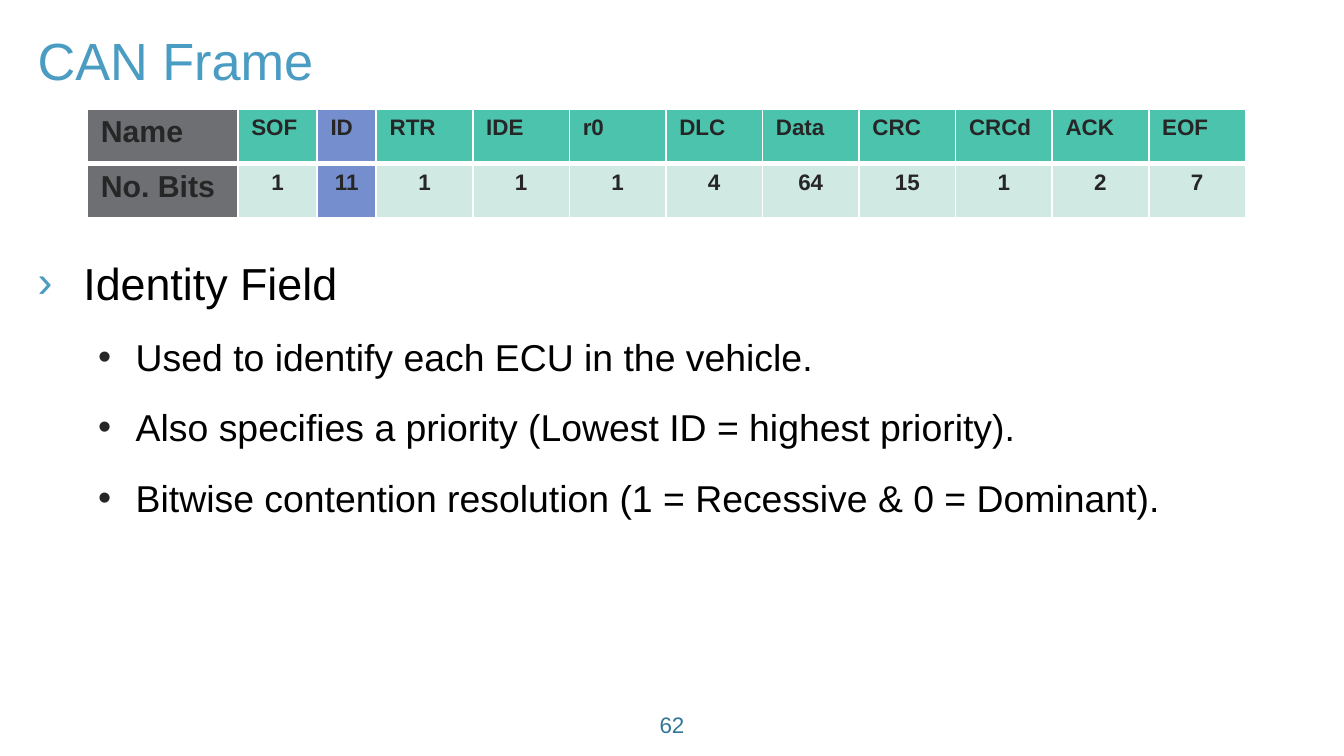
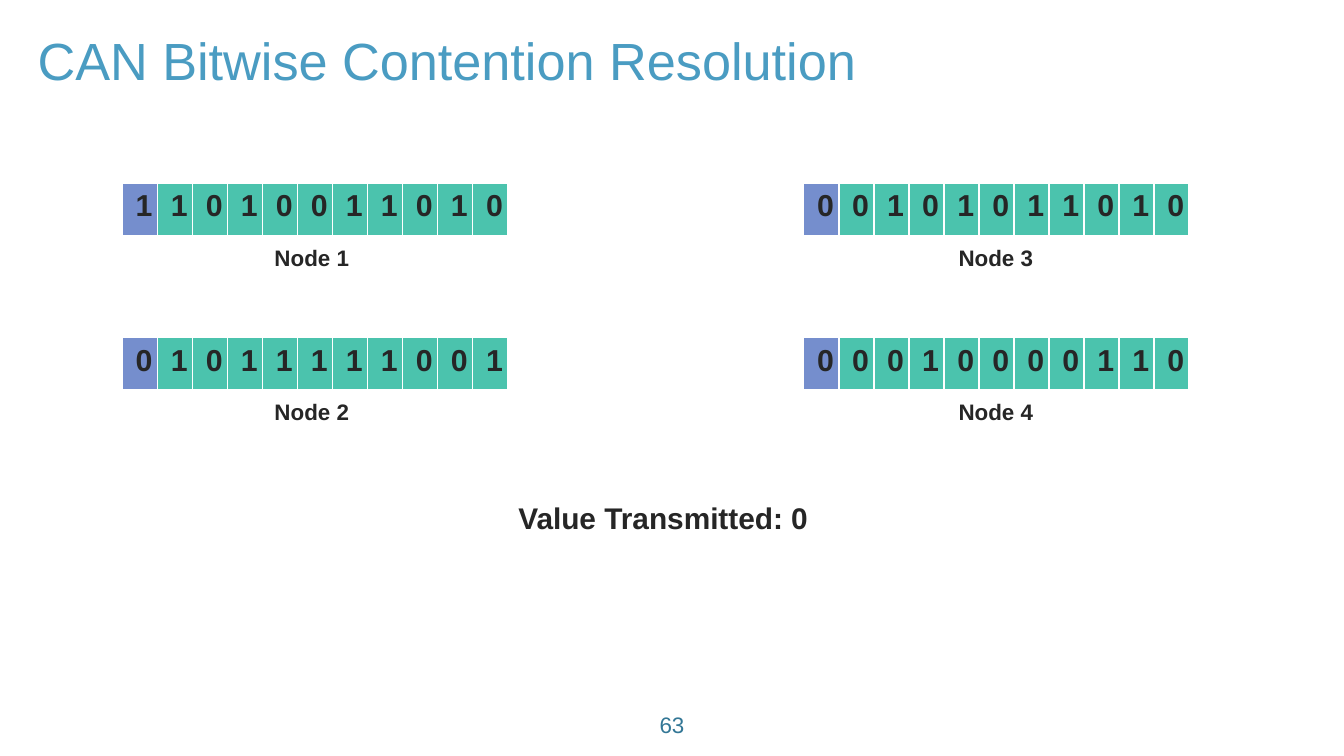
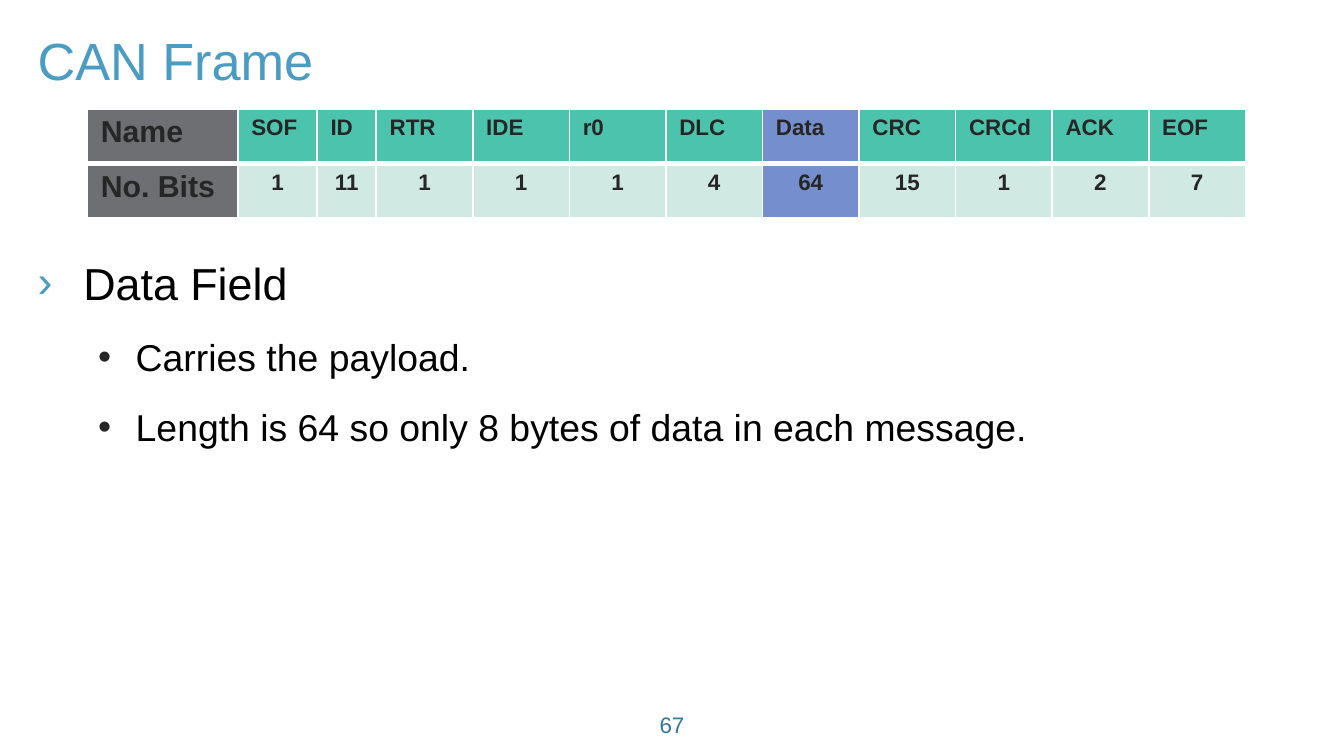
"""Build three slides on CAN frames and bitwise contention resolution."""
from lxml import etree
from pptx import Presentation
from pptx.dml.color import RGBColor
from pptx.enum.text import MSO_ANCHOR, MSO_AUTO_SIZE, PP_ALIGN
from pptx.oxml.ns import qn
from pptx.util import Inches, Pt

LEFT, CENTER = PP_ALIGN.LEFT, PP_ALIGN.CENTER
TOP, MIDDLE = MSO_ANCHOR.TOP, MSO_ANCHOR.MIDDLE
GROW, FIXED = MSO_AUTO_SIZE.SHAPE_TO_FIT_TEXT, MSO_AUTO_SIZE.NONE

FONT = "Arial"
BLUE, DEEP_BLUE = "4A9CC2", "337796"
BLACK, INK, WHITE = "000000", "262626", "FFFFFF"
GRAY, TEAL, MINT, HIGHLIGHT = "6D6F72", "4BC3AD", "D0E9E3", "758ECD"

TITLE_CONTENT, TITLE_ONLY = 1, 5
ROW_HEIGHT = 0.81 / 2
NODE_WIDTH = 2.87
FRAME_WIDTH = 8.62
FIRST_WIDTHS = [1.12, 0.59, 0.44]
FIELD_WIDTHS = FIRST_WIDTHS + [(FRAME_WIDTH - sum(FIRST_WIDTHS)) / 9] * 9
FRAME = [
    ["Name", "SOF", "ID", "RTR", "IDE", "r0", "DLC", "Data", "CRC", "CRCd", "ACK", "EOF"],
    ["No. Bits", "1", "11", "1", "1", "1", "4", "64", "15", "1", "2", "7"],
]
# Level styles: bullet, bullet colour, left margin, hanging indent, text size
LEVELS = [("›", BLUE, 0.34, 0.34, 24), ("•", INK, 0.73, 0.28, 20)]
NODE_COLUMNS = [(0.91, 1.94), (5.98, 7.03)]
NODE_ROWS = [1.36, 2.51]
NODE_IDS = ["11010011010", "01011111001", "00101011010", "00010000110"]


def rgb(color):
    """Return the colour for a hex string."""
    return RGBColor.from_string(color)


def place(shape, left, top, width, height):
    """Move and size a shape, in inches."""
    shape.left, shape.top = Inches(left), Inches(top)
    shape.width, shape.height = Inches(width), Inches(height)


def style(paragraph, size, color, bold=False, align=LEFT):
    """Format one paragraph."""
    paragraph.alignment = align
    font = paragraph.font
    font.name, font.size, font.bold = FONT, Pt(size), bold
    font.color.rgb = rgb(color)


def add_label(slide, text, box, size, color=INK, bold=True, wrap=False, anchor=TOP):
    """Add a centred text box."""
    label = slide.shapes.add_textbox(*map(Inches, box))
    frame = label.text_frame
    frame.text = text
    frame.word_wrap, frame.auto_size, frame.vertical_anchor = wrap, GROW, anchor
    style(frame.paragraphs[0], size, color, bold, CENTER)


def add_slide(prs, layout, heading, number):
    """Add a slide with its title and page number."""
    slide = prs.slides.add_slide(prs.slide_layouts[layout])
    title = slide.shapes.title
    place(title, 0.18, 0.16, 9.57, 0.57)
    title.text_frame.text = heading
    title.text_frame.vertical_anchor = TOP
    title.text_frame.auto_size = GROW
    style(title.text_frame.paragraphs[0], 28, BLUE)
    add_label(slide, str(number), (4.53, 5.24, 0.94, 0.3), 12, DEEP_BLUE,
              bold=False, wrap=True, anchor=MIDDLE)
    return slide


def set_bullet(paragraph, level):
    """Give a paragraph the bullet and indent of its level."""
    mark, color, margin, hanging, _ = LEVELS[level]
    paragraph.level = level
    paragraph.line_spacing = 1.4
    props = paragraph._p.get_or_add_pPr()
    props.set("marL", str(Inches(margin)))
    props.set("indent", str(-Inches(hanging)))
    bullet_color = etree.SubElement(props, qn("a:buClr"))
    etree.SubElement(bullet_color, qn("a:srgbClr"), val=color)
    etree.SubElement(props, qn("a:buFont"), typeface=FONT)
    etree.SubElement(props, qn("a:buChar"), char=mark)


def fill_body(slide, topic, points):
    """Fill the body with a topic and the points below it."""
    body = slide.placeholders[1]
    place(body, 0.18, 1.69, 9.57, 3.26)
    frame = body.text_frame
    frame.text = "\n".join([topic, *points])
    frame.auto_size, frame.vertical_anchor = FIXED, TOP
    for index, paragraph in enumerate(frame.paragraphs):
        level = min(index, 1)
        set_bullet(paragraph, level)
        style(paragraph, LEVELS[level][-1], BLACK)


def set_borders(cell, top, bottom):
    """Draw white cell borders, with the top and bottom widths in points."""
    props = cell._tc.get_or_add_tcPr()
    widths = {"a:lnL": 1, "a:lnR": 1, "a:lnT": top, "a:lnB": bottom}
    for index, (tag, width) in enumerate(widths.items()):
        line = etree.Element(qn(tag), w=str(Pt(width)))
        solid = etree.SubElement(line, qn("a:solidFill"))
        etree.SubElement(solid, qn("a:srgbClr"), val=WHITE)
        props.insert(index, line)


def add_grid(slide, left, top, widths, rows, cell_style):
    """Add a table; cell_style(row, column) gives fill, text size and alignment."""
    table = slide.shapes.add_table(
        len(rows), len(widths), Inches(left), Inches(top),
        Inches(sum(widths)), Inches(ROW_HEIGHT * len(rows))).table
    table.first_row = table.horz_banding = False
    for column, width in zip(table.columns, widths):
        column.width = Inches(width)
    for r, texts in enumerate(rows):
        table.rows[r].height = Inches(ROW_HEIGHT)
        for c, text in enumerate(texts):
            fill, size, align = cell_style(r, c)
            cell = table.cell(r, c)
            cell.text = text
            cell.fill.solid()
            cell.fill.fore_color.rgb = rgb(fill)
            style(cell.text_frame.paragraphs[0], size, INK, True, align)
            set_borders(cell, 3 if r else 1, 1 if r else 3)


def add_frame_slide(prs, number, field, topic, points):
    """Add a slide that highlights and explains one field of the CAN frame."""
    slide = add_slide(prs, TITLE_CONTENT, "CAN Frame", number)
    fill_body(slide, topic, points)
    active = FRAME[0].index(field)

    def frame_style(row, column):
        """Style a cell of the frame table."""
        if column == 0:
            return GRAY, 16.2, LEFT
        fill = HIGHLIGHT if column == active else (TEAL, MINT)[row]
        return fill, 12, (LEFT, CENTER)[row]

    add_grid(slide, 0.65, 0.81, FIELD_WIDTHS, FRAME, frame_style)


def add_contention_slide(prs, number):
    """Add the slide that compares the first ID bit of four nodes."""
    slide = add_slide(prs, TITLE_ONLY, "CAN Bitwise Contention Resolution", number)

    def bit_style(_, column):
        """Style one bit, with the first one highlighted."""
        return TEAL if column else HIGHLIGHT, 16.2, CENTER

    for index, bits in enumerate(NODE_IDS):
        left, label_left = NODE_COLUMNS[index // 2]
        top = NODE_ROWS[index % 2]
        widths = [NODE_WIDTH / len(bits)] * len(bits)
        add_grid(slide, left, top, widths, [bits], bit_style)
        add_label(slide, f"Node {index + 1}", (label_left, top + ROW_HEIGHT, 0.76, 0.3), 12)
    add_label(slide, "Value Transmitted: 0 ", (3.74, 3.67, 2.45, 0.37), 16)


def main():
    """Build and save the presentation."""
    prs = Presentation()
    prs.slide_width = Inches(10)
    prs.slide_height = prs.slide_width * 9 // 16
    add_frame_slide(prs, 62, "ID", "Identity Field", [
        "Used to identify each ECU in the vehicle.",
        "Also specifies a priority (Lowest ID = highest priority).",
        "Bitwise contention resolution (1 = Recessive & 0 = Dominant).",
    ])
    add_contention_slide(prs, 63)
    add_frame_slide(prs, 67, "Data", "Data Field", [
        "Carries the payload.",
        "Length is 64 so only 8 bytes of data in each message.",
    ])
    prs.save("out.pptx")


if __name__ == "__main__":
    main()
